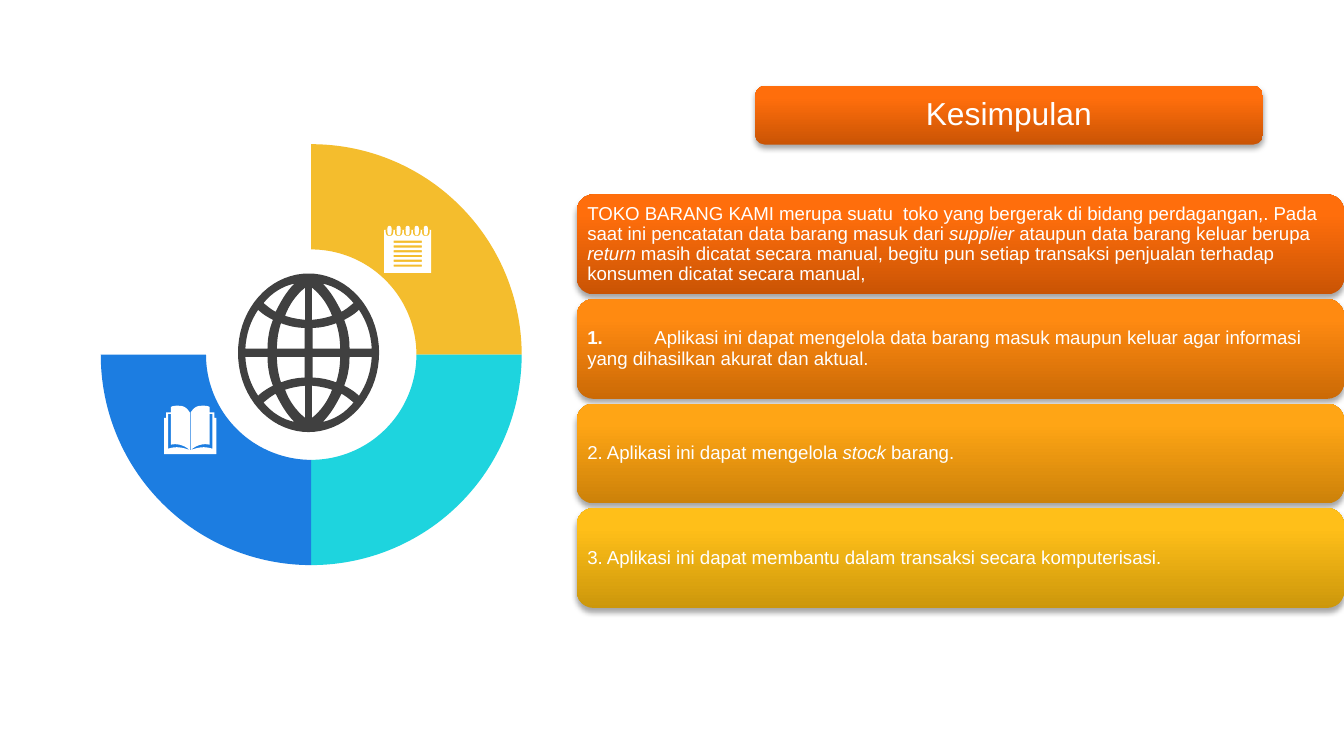
from copy import deepcopy
from math import cos, pi, sin

from lxml import etree
from pptx import Presentation
from pptx.chart.data import CategoryChartData
from pptx.dml.color import RGBColor
from pptx.enum.chart import XL_CHART_TYPE as ChartType
from pptx.enum.shapes import MSO_SHAPE as Preset
from pptx.enum.text import MSO_ANCHOR as Anchor, MSO_AUTO_SIZE as AutoSize, PP_ALIGN as Align
from pptx.oxml import parse_xml
from pptx.oxml.ns import nsdecls, qn
from pptx.util import Pt

# Content: each card is a list of (text, style) spans
TITLE = "Kesimpulan"
CARDS = [
    [("TOKO BARANG KAMI merupa suatu  toko yang bergerak di bidang perdagangan,. "
      "Pada saat ini pencatatan data barang masuk dari ", ""),
     ("supplier ", "italic"),
     ("ataupun data barang keluar berupa ", ""),
     ("return ", "italic"),
     ("masih dicatat secara manual, begitu pun setiap transaksi penjualan "
      "terhadap konsumen dicatat secara manual,", "")],
    [("1.\t", "bold"),
     ("Aplikasi ini dapat mengelola data barang masuk maupun keluar agar informasi "
      "yang dihasilkan akurat dan aktual.", "")],
    [("2. Aplikasi ini dapat mengelola ", ""), ("stock ", "italic"), ("barang.", "")],
    [("3. Aplikasi ini dapat membantu dalam transaksi secara komputerisasi.", "")],
]
RING = {"1": 25, "2": 25, "3": 25, "4": 25}

THEME = {
    "font": "Arial", "title": 17, "body": 10, "chart": 10,
    "white": "FFFFFF", "dark": "404040", "black": "000000",
    "ring": ["F4BD2D", "1ED4DE", "1C7DE1", None],
    # Card gradients, from bottom to top
    "cards": [("CA5404", "FF6E0C", "FF6F0E"), ("CB6A06", "FF8A11", "FF8B12"),
              ("CC8109", "FFA515", "FFA616"), ("CC970B", "FFBF19", "FFC01A")],
}
STOPS = (0, 0.8, 1)

# Icon outlines on a grid of 0.72 pt: pairs are corners, sixes are Bezier curves
GRID = 0.72
GLOBE_CELLS = [
    [(2.5, -48.5), (2.5, -24.5), (8, -25, 13, -26, 17.5, -27.5),
     (14.5, -35.5, 9.5, -43, 2.5, -48.5)],
    [(20.5, -22), (15, -20, 9, -18.5, 3, -18.5), (3, -3), (23.5, -3),
     (23.5, -10, 22.5, -16, 20.5, -22)],
    [(10.5, -51.5), (16.5, -45.5, 20.5, -38.5, 24.5, -30.5),
     (27.5, -32, 30.5, -34.5, 33.5, -37), (27.5, -44.5, 19.5, -49.5, 10.5, -51.5)],
    [(37.5, -32), (34.5, -29, 30.5, -26.5, 26.5, -24.5),
     (29.5, -17, 30.5, -10, 30.5, -3), (47, -3), (46.5, -14, 43, -24, 37.5, -32)],
]
BOOK_HALF = [
    [(0.3, 5), (3, 1, 5, 0, 9, 0), (11, 0, 13, 0, 14.5, 1), (14.5, 5), (18, 5),
     (18, 9), (19.5, 9), (19.5, 36), (0, 36), (0, 33), (0.3, 33)],
    [(14.5, 6), (16.5, 6), (16.5, 32), (10, 30, 6, 31, 0.3, 33),
     (5, 29, 10, 28, 14.5, 29)],
]
PAD_SHEET = [(0, 3), (35, 3), (35, 35), (0, 35)]
PAD_LINE = [(7, 11), (28, 11), (28, 12.6), (7, 12.6)]
PAD_NOTCH = [(1.2, 3), (1.2, 5), (1.2, 8.5, 6.8, 8.5, 6.8, 5), (6.8, 3)]
PAD_RING = [(2.5, 1.5), (2.5, -0.5, 5.5, -0.5, 5.5, 1.5), (5.5, 5),
            (5.5, 7.7, 2.5, 7.7, 2.5, 5)]


def rgb(name):
    return RGBColor.from_string(name)


def trace(outline, steps=8):
    """Turn corners and curves into a list of points."""
    points = []
    for part in outline:
        if len(part) == 2:
            points.append(part)
            continue
        start, (ax, ay, bx, by, cx, cy) = points[-1], part
        for step in range(1, steps + 1):
            t = step / steps
            w = ((1 - t) ** 3, 3 * t * (1 - t) ** 2, 3 * t * t * (1 - t), t ** 3)
            points.append(tuple(sum(k * v for k, v in zip(w, axis)) for axis in
                                ((start[0], ax, bx, cx), (start[1], ay, by, cy))))
    return points


def shift(points, dx, dy):
    return [(x + dx, y + dy) for x, y in points]


def mirror(points, sx, sy):
    return [(x * sx, y * sy) for x, y in points]


def add_icon(page, left, top, contours, color):
    placed = [[(Pt(left + x * GRID), Pt(top + y * GRID)) for x, y in points]
              for points in contours]
    builder = page.shapes.build_freeform(*placed[0][0])
    for index, points in enumerate(placed):
        if index:
            builder.move_to(*points[0])
        builder.add_line_segments(points[1:], close=True)
    icon = builder.convert_to_shape()
    icon.shadow.inherit = False
    icon.fill.solid()
    icon.fill.fore_color.rgb = rgb(color)
    icon.line.fill.background()


def add_card(page, left, top, width, height, colors):
    card = page.shapes.add_shape(Preset.ROUNDED_RECTANGLE, Pt(left), Pt(top),
                                 Pt(width), Pt(height))
    card.line.fill.background()
    card.fill.gradient()
    card.fill.gradient_angle = 90
    stop_list = card._element.spPr.find(".//" + qn("a:gsLst"))
    stop_list.append(deepcopy(stop_list[-1]))
    for stop, position, color in zip(card.fill.gradient_stops, STOPS, colors):
        stop.position, stop.color.rgb = position, rgb(color)
    card.shadow.inherit = False
    card._element.spPr.find(qn("a:effectLst")).append(parse_xml(
        f'<a:outerShdw {nsdecls("a")} blurRad="{Pt(3.1)}" dist="{Pt(1.8)}" dir="5400000" '
        f'rotWithShape="0"><a:srgbClr val="{THEME["black"]}"><a:alpha val="35000"/>'
        '</a:srgbClr></a:outerShdw>'))
    return card


def fill_text(box, spans, size, align, inset):
    frame = box.text_frame
    frame.word_wrap, frame.auto_size = True, AutoSize.NONE
    frame.vertical_anchor = Anchor.MIDDLE
    frame.margin_left = frame.margin_right = Pt(inset)
    frame.margin_top = frame.margin_bottom = Pt(inset)
    para = frame.paragraphs[0]
    for text, style in spans:
        span = para.add_run()
        span.text = text
        if style:
            setattr(span.font, style, True)
    if any("\t" in text for text, style in spans):
        tabs = etree.SubElement(para._p.get_or_add_pPr(), qn("a:tabLst"))
        etree.SubElement(tabs, qn("a:tab"), pos=str(Pt(36)), algn="l")
    para.alignment, para.line_spacing = align, 0.9
    para.space_after = Pt(0.35 * size)
    para.font.name, para.font.size = THEME["font"], Pt(size)
    para.font.color.rgb = rgb(THEME["white"])


deck = Presentation()
deck.slide_width, deck.slide_height = Pt(720), Pt(405)
page = deck.slides.add_slide(deck.slide_layouts[5])

# Ring chart with its last quarter left open
data = CategoryChartData()
data.categories = list(RING)
data.add_series("Series 1", list(RING.values()))
chart = page.shapes.add_chart(ChartType.DOUGHNUT, Pt(39.6), Pt(20.2), Pt(252), Pt(337),
                              data).chart
chart.has_title = chart.has_legend = False
chart.font.name, chart.font.size = THEME["font"], Pt(THEME["chart"])
chart.font.color.rgb = rgb(THEME["black"])
for index, color in enumerate(THEME["ring"]):
    point = chart.plots[0].series[0].points[index]
    point.format.line.fill.background()
    if color:
        point.format.fill.solid()
        point.format.fill.fore_color.rgb = rgb(color)
    else:
        point.format.fill.background()
plot_area = chart._chartSpace.find(".//" + qn("c:plotArea"))
plot_area.find(".//" + qn("c:holeSize")).set("val", "45")
for old in plot_area.findall(qn("c:layout")):
    plot_area.remove(old)
plot_area.insert(0, parse_xml(
    f'<c:layout {nsdecls("c")}><c:manualLayout><c:layoutTarget val="inner"/>'
    '<c:xMode val="edge"/><c:yMode val="edge"/><c:x val="0.057"/><c:y val="0.028"/>'
    '<c:w val="0.895"/><c:h val="0.952"/></c:manualLayout></c:layout>'))

# Icons: book, notepad and globe
book = [mirror(trace(half), side, 1) for half in BOOK_HALF for side in (1, -1)]
add_icon(page, 101.9, 217.4, book, THEME["white"])

notepad = [PAD_SHEET]
notepad += [shift(PAD_LINE, 0, 3.55 * row) for row in range(6)]
notepad += [shift(trace(part), 6.75 * column, 0)
            for part in (PAD_NOTCH, PAD_RING) for column in range(5)]
add_icon(page, 205.8, 121, notepad, THEME["white"])

rim = [(52.5 * cos(pi * k / 36), 59 * sin(pi * k / 36)) for k in range(72)]
globe = [rim] + [mirror(trace(cell), sx, sy)
                 for cell in GLOBE_CELLS for sx in (1, -1) for sy in (1, -1)]
add_icon(page, 165.3, 189, globe, THEME["dark"])

# Title on its plate
add_card(page, 404.6, 46, 272, 31.5, THEME["cards"][0])
title = page.shapes.title
title.left, title.top, title.width, title.height = Pt(406), Pt(47.5), Pt(269), Pt(28)
fill_text(title, [(TITLE, "")], THEME["title"], Align.CENTER, 5)
page.shapes._spTree.append(title._element)

# Stack of cards
for row, (spans, colors) in enumerate(zip(CARDS, THEME["cards"])):
    card = add_card(page, 309, 104.2 + 56 * row, 411, 53.5, colors)
    fill_text(card, spans, THEME["body"], Align.LEFT, 3)

deck.save("out.pptx")
